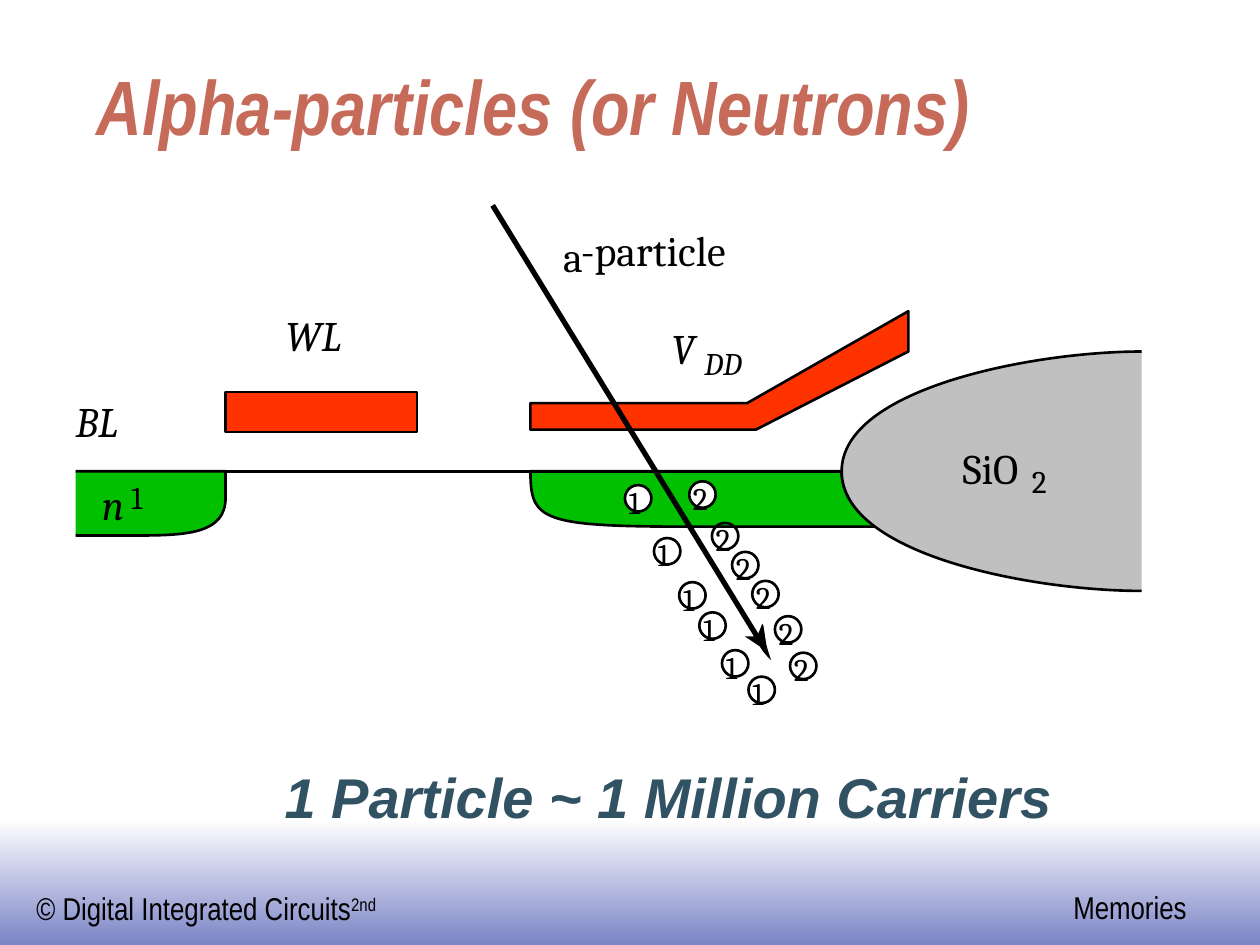
from pptx import Presentation
from pptx.dml.color import RGBColor
from pptx.enum.shapes import MSO_CONNECTOR, MSO_SHAPE
from pptx.enum.text import MSO_ANCHOR, MSO_AUTO_SIZE
from pptx.oxml.ns import qn
from pptx.util import Inches, Pt
from lxml.etree import SubElement

BLACK = RGBColor(0x00, 0x00, 0x00)
WHITE = RGBColor(0xFF, 0xFF, 0xFF)
BAND = RGBColor(0x7B, 0x84, 0xC6)
TITLE = RGBColor(0xC6, 0x6B, 0x5A)
MESSAGE = RGBColor(0x31, 0x52, 0x63)
DIFFUSION = RGBColor(0x00, 0xC0, 0x00)
GATE = RGBColor(0xFF, 0x33, 0x00)
OXIDE = RGBColor(0xC0, 0xC0, 0xC0)

SURFACE = 3.74
CARRIER_SIZE = 0.21


class Diagram:
    """Draws styled elements on one slide."""

    def __init__(self, slide, font="Cambria", outline=1.5):
        self.slide = slide
        self.font = font
        self.outline = outline

    def style(self, shape, fill, outlined=True):
        shape.shadow.inherit = False
        if fill is None:
            shape.fill.background()
        else:
            shape.fill.solid()
            shape.fill.fore_color.rgb = fill
        if outlined:
            shape.line.color.rgb = BLACK
            shape.line.width = Pt(self.outline)
        else:
            shape.line.fill.background()

    def shape(self, kind, left, top, width, height, fill=None):
        shape = self.slide.shapes.add_shape(
            kind, Inches(left), Inches(top), Inches(width), Inches(height))
        self.style(shape, fill)
        return shape

    def band(self, left, top, width, height):
        shape = self.shape(MSO_SHAPE.RECTANGLE, left, top, width, height)
        shape.line.fill.background()
        shape.fill.gradient()
        shape.fill.gradient_angle = 270
        for stop, color in zip(shape.fill.gradient_stops, (WHITE, BAND)):
            stop.color.rgb = color

    def outline_shape(self, start, segments, fill, close=True, outlined=True):
        points = [(Inches(x), Inches(y)) for segment in segments
                  for x, y in zip(segment[::2], segment[1::2])]
        builder = self.slide.shapes.build_freeform(Inches(start[0]), Inches(start[1]))
        builder.add_line_segments(points, close=close)
        shape = builder.convert_to_shape()
        steps = iter(list(shape._element.iter(qn("a:lnTo"))))
        for segment in segments:
            step = next(steps)
            if len(segment) == 6:
                step.tag = qn("a:cubicBezTo")
                for extra in (next(steps), next(steps)):
                    step.append(extra[0])
                    extra.getparent().remove(extra)
        self.style(shape, fill, outlined)

    def line(self, start, end, width):
        connector = self.slide.shapes.add_connector(
            MSO_CONNECTOR.STRAIGHT, *(Inches(value) for value in start + end))
        connector.line.color.rgb = BLACK
        connector.line.width = Pt(width)
        SubElement(connector._element.spPr, qn("a:effectLst"))

    def text(self, text, left, top, width, height, size, color=BLACK, font=None,
             bold=False, italic=False, margins=(0, 0), wrap=False, superscript=""):
        box = self.slide.shapes.add_textbox(
            Inches(left), Inches(top), Inches(width), Inches(height))
        frame = box.text_frame
        frame.word_wrap = wrap
        frame.auto_size = MSO_AUTO_SIZE.NONE if wrap else MSO_AUTO_SIZE.SHAPE_TO_FIT_TEXT
        frame.vertical_anchor = MSO_ANCHOR.BOTTOM if wrap else MSO_ANCHOR.TOP
        frame.margin_left = frame.margin_right = Inches(margins[0])
        frame.margin_top = frame.margin_bottom = Inches(margins[1])
        frame.text = text
        paragraph = frame.paragraphs[0]
        if superscript:
            run = paragraph.add_run()
            run.text = superscript
            run._r.get_or_add_rPr().set("baseline", "30000")
        for run in paragraph.runs:
            run.font.name = font or self.font
            run.font.size = Pt(size)
            run.font.color.rgb = color
            run.font.bold = bold
            run.font.italic = italic

    def carrier(self, sign, left, top, fill=None):
        self.shape(MSO_SHAPE.OVAL, left, top, CARRIER_SIZE, CARRIER_SIZE, fill)
        self.text(sign, left + 0.03, top - 0.02, 0.14, 0.3, 18)


def main():
    presentation = Presentation()
    presentation.slide_width = Inches(10)
    presentation.slide_height = Inches(7.5)
    slide = presentation.slides.add_slide(presentation.slide_layouts[6])
    diagram = Diagram(slide)

    padded = {"margins": (0.1, 0.05)}
    narrow = {"font": "Arial Narrow", **padded}
    strong = {"bold": True, "italic": True}
    diagram.band(0, 6.5, 10, 1)
    diagram.text("© Digital Integrated Circuits", 0.19, 7.01, 2.92, 0.4, 18,
                 superscript="2nd", **narrow)
    diagram.text("Memories", 8.42, 7, 1.1, 0.4, 18, **narrow)
    diagram.text("Alpha-particles (or Neutrons)", 0.67, 0.42, 8.5, 0.83, 44, TITLE,
                 wrap=True, **narrow, **strong)
    diagram.text("1 Particle ~ 1 Million Carriers", 2.16, 6, 6.32, 0.64, 32, MESSAGE,
                 font="Arial", **padded, **strong)

    diagram.outline_shape(
        (6.68, SURFACE),
        [(4.21, SURFACE), (4.21, 4.13, 4.29, 4.18, 5.49, 4.18), (6.96, 4.18),
         (6.79, 4.07, 6.68, 3.92, 6.68, SURFACE)], DIFFUSION)
    diagram.outline_shape(
        (0.6, 4.25),
        [(1.09, 4.25), (1.5, 4.25, 1.79, 4.23, 1.79, 3.95), (1.79, SURFACE),
         (0.6, SURFACE)], DIFFUSION, close=False)
    diagram.outline_shape(
        (9.06, 4.69),
        [(8.21, 4.69, 6.68, 4.41, 6.68, SURFACE),
         (6.68, 3.08, 8.21, 2.79, 9.06, 2.79)], OXIDE, close=False)
    diagram.line((6.68, SURFACE), (1.79, SURFACE), 1.5)
    diagram.shape(MSO_SHAPE.RECTANGLE, 1.79, 3.11, 1.52, 0.32, GATE)
    diagram.outline_shape(
        (5.93, 3.2),
        [(4.21, 3.2), (4.21, 3.41), (6, 3.41), (7.21, 2.79), (7.21, 2.47)], GATE)

    for text, left, top, width, size, italic in (
            ("WL", 2.27, 2.46, 0.56, 24, True),
            ("BL", 0.6, 3.14, 0.43, 24, True),
            ("V", 5.33, 2.56, 0.23, 24, True),
            ("DD", 5.59, 2.73, 0.36, 18, True),
            ("n", 0.81, 3.8, 0.2, 24, True),
            ("1", 1.04, 3.79, 0.14, 18, False),
            ("a", 4.47, 1.83, 0.19, 24, False),
            ("-particle", 4.61, 1.78, 1.32, 24, False),
            ("SiO", 7.64, 3.51, 0.54, 24, False),
            ("2", 8.19, 3.67, 0.14, 18, False)):
        diagram.text(text, left, top, width, size / 60, size, italic=italic)

    for sign, left, top in (("1", 4.96, 3.85), ("2", 5.47, 3.82)):
        diagram.carrier(sign, left, top, WHITE)
    diagram.line((3.91, 1.63), (6.02, 5.07), 3)
    diagram.outline_shape(
        (6.01, 5.05),
        [(6.05, 4.95), (6.06, 4.97), (6.08, 5.1), (6.09, 5.16, 6.11, 5.2, 6.12, 5.24),
         (6.09, 5.21, 6.06, 5.18, 6.03, 5.13), (5.91, 5.05)], BLACK, outlined=False)
    trails = {
        "1": ((5.19, 4.27), (5.39, 4.62), (5.55, 4.86), (5.73, 5.16), (5.94, 5.37)),
        "2": ((6.27, 5.18), (6.15, 4.89), (5.97, 4.61), (5.81, 4.38), (5.65, 4.15)),
    }
    for sign, positions in trails.items():
        for left, top in positions:
            diagram.carrier(sign, left, top)

    presentation.save("out.pptx")


if __name__ == "__main__":
    main()
